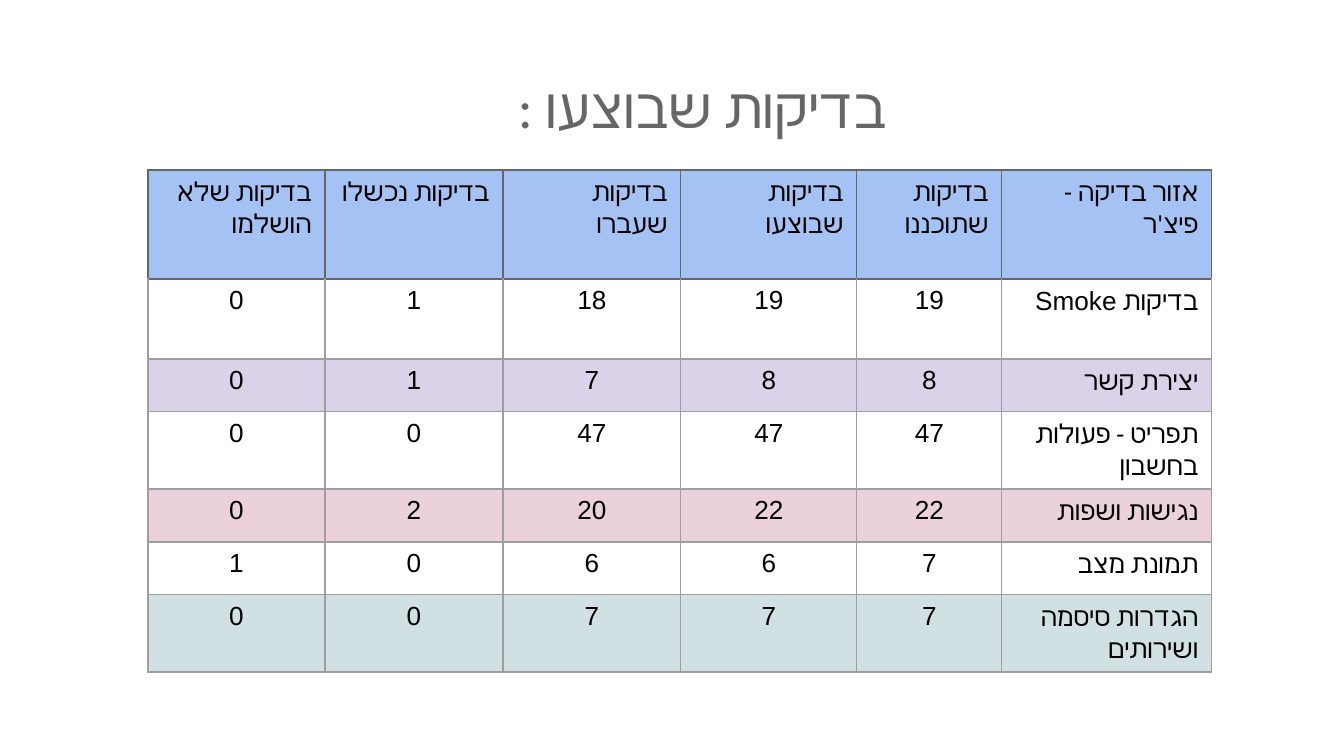
import pptx
import pptx.dml.color
import pptx.enum.text
import pptx.oxml.ns
import pptx.util
from lxml import etree

PX_PER_INCH = 134.4
RGB = pptx.dml.color.RGBColor
ALIGN = pptx.enum.text.PP_ALIGN

BLACK = RGB(0x00, 0x00, 0x00)
WHITE = RGB(0xFF, 0xFF, 0xFF)
DARK_GRAY = RGB(0x66, 0x66, 0x66)
GRID_GRAY = RGB(0x9E, 0x9E, 0x9E)
BLUE = RGB(0xA4, 0xC2, 0xF4)
LILAC = RGB(0xD9, 0xD2, 0xE9)
PINK = RGB(0xEA, 0xD1, 0xDC)
TEAL = RGB(0xD0, 0xE0, 0xE3)

HEBREW_FONT = "Calibri"
NUMBER_FONT = "Arial"
MARGIN = 13

COLUMN_WIDTHS = [177, 178, 178, 176, 145, 210]
ROW_HEIGHTS = [109, 80, 53, 53, 53, 53, 65]
HEADERS = ["בדיקות שלא הושלמו", "בדיקות נכשלו", "בדיקות שעברו",
           "בדיקות שבוצעו", "בדיקות שתוכננו", "אזור בדיקה - פיצ'ר"]

# Fill, then incomplete, failed, passed, run and planned tests, then the area
RESULTS = [
    (WHITE, [0, 1, 18, 19, 19, "בדיקות Smoke"]),
    (LILAC, [0, 1, 7, 8, 8, "יצירת קשר"]),
    (WHITE, [0, 0, 47, 47, 47, "תפריט - פעולות בחשבון"]),
    (PINK, [0, 2, 20, 22, 22, "נגישות ושפות"]),
    (None, [1, 0, 6, 6, 7, "תמונת מצב"]),
    (TEAL, [0, 0, 7, 7, 7, "הגדרות סיסמה ושירותים"]),
]


def px(length):
    return pptx.util.Emu(round(length * 914400 / PX_PER_INCH))


def write_text(frame, text, *, size=14, font=NUMBER_FONT, color=BLACK, rtl=False):
    frame.word_wrap = True
    frame.margin_left = frame.margin_right = px(MARGIN)
    frame.margin_top = frame.margin_bottom = px(MARGIN)
    paragraph = frame.paragraphs[0]
    paragraph.alignment = ALIGN.RIGHT if rtl else ALIGN.CENTER
    if rtl:
        paragraph._p.get_or_add_pPr().set("rtl", "1")
    run = paragraph.add_run()
    run.text = text
    run.font.size = pptx.util.Pt(size)
    run.font.name = font
    run.font.color.rgb = color
    # Hebrew letters take the complex-script font
    complex_font = etree.SubElement(run._r.get_or_add_rPr(), pptx.oxml.ns.qn("a:cs"))
    complex_font.set("typeface", HEBREW_FONT)


def set_borders(cell, color, top_color):
    properties = cell._tc.get_or_add_tcPr()
    for index, side in enumerate(("lnL", "lnR", "lnT", "lnB")):
        line = etree.Element(pptx.oxml.ns.qn(f"a:{side}"), w=str(pptx.util.Pt(0.75)))
        fill = etree.SubElement(line, pptx.oxml.ns.qn("a:solidFill"))
        value = etree.SubElement(fill, pptx.oxml.ns.qn("a:srgbClr"))
        value.set("val", str(top_color if side == "lnT" else color))
        properties.insert(index, line)


def fill_cell(cell, fill_color, border, top_border):
    if fill_color is None:
        cell.fill.background()
    else:
        cell.fill.solid()
        cell.fill.fore_color.rgb = fill_color
    set_borders(cell, border, top_border)


def add_title(slide, text):
    box = slide.shapes.add_textbox(px(239), px(60), px(661), px(95))
    write_text(box.text_frame, text, size=30, font=HEBREW_FONT,
               color=DARK_GRAY, rtl=True)
    box.text_frame.auto_size = pptx.enum.text.MSO_AUTO_SIZE.SHAPE_TO_FIT_TEXT


def add_results_table(slide):
    table = slide.shapes.add_table(
        len(ROW_HEIGHTS), len(COLUMN_WIDTHS), px(148), px(170),
        px(sum(COLUMN_WIDTHS)), px(sum(ROW_HEIGHTS))).table
    table.first_row = table.horz_banding = False
    for column, width in zip(table.columns, COLUMN_WIDTHS):
        column.width = px(width)
    for row, height in zip(table.rows, ROW_HEIGHTS):
        row.height = px(height)

    # Header row
    for column, header in enumerate(HEADERS):
        cell = table.cell(0, column)
        write_text(cell.text_frame, header, font=HEBREW_FONT, rtl=True)
        fill_cell(cell, BLUE, DARK_GRAY, DARK_GRAY)

    # Result rows; the first one shares the header's border
    for row, (fill_color, values) in enumerate(RESULTS, start=1):
        top_border = DARK_GRAY if row == 1 else GRID_GRAY
        for column, value in enumerate(values):
            cell = table.cell(row, column)
            write_text(cell.text_frame, str(value), rtl=isinstance(value, str))
            fill_cell(cell, fill_color, GRID_GRAY, top_border)


def main():
    presentation = pptx.Presentation()
    presentation.slide_width = px(1344)
    presentation.slide_height = px(756)
    slide = presentation.slides.add_slide(presentation.slide_layouts[6])
    add_results_table(slide)
    add_title(slide, "בדיקות שבוצעו :")
    presentation.save("out.pptx")


if __name__ == "__main__":
    main()
